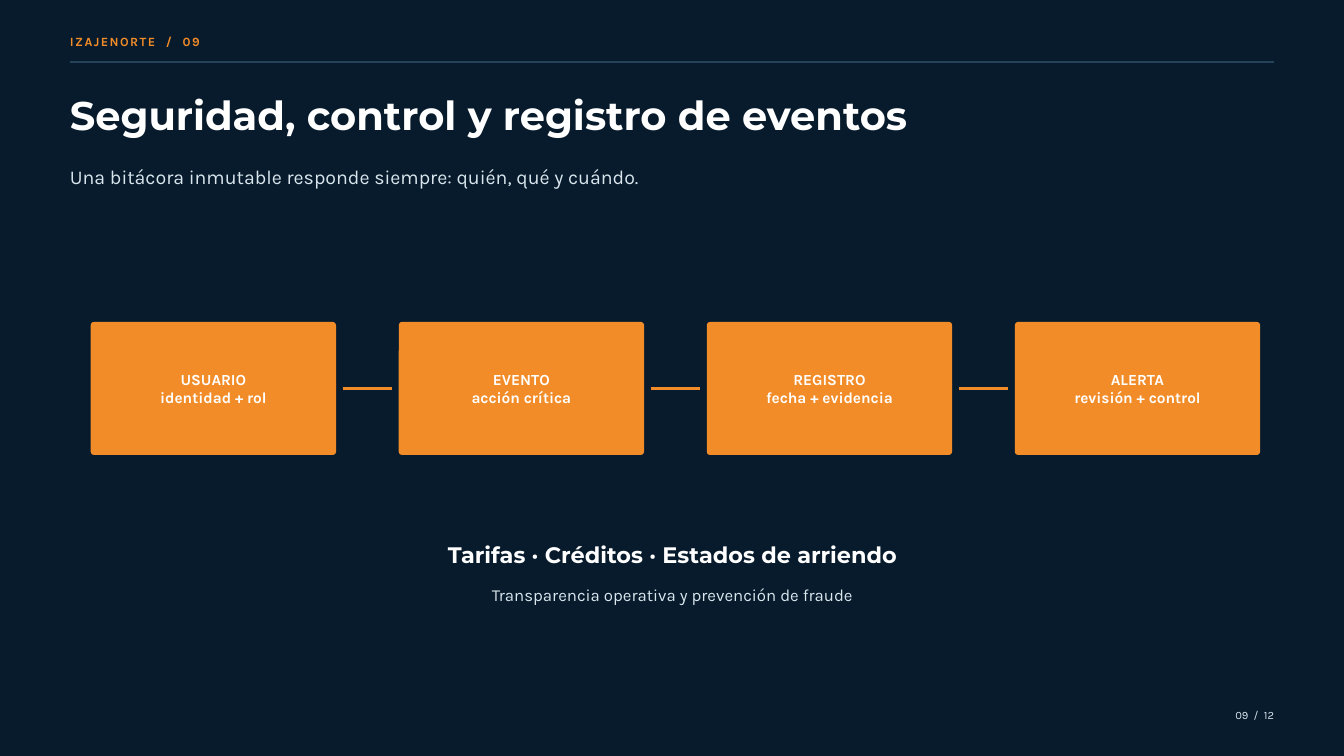
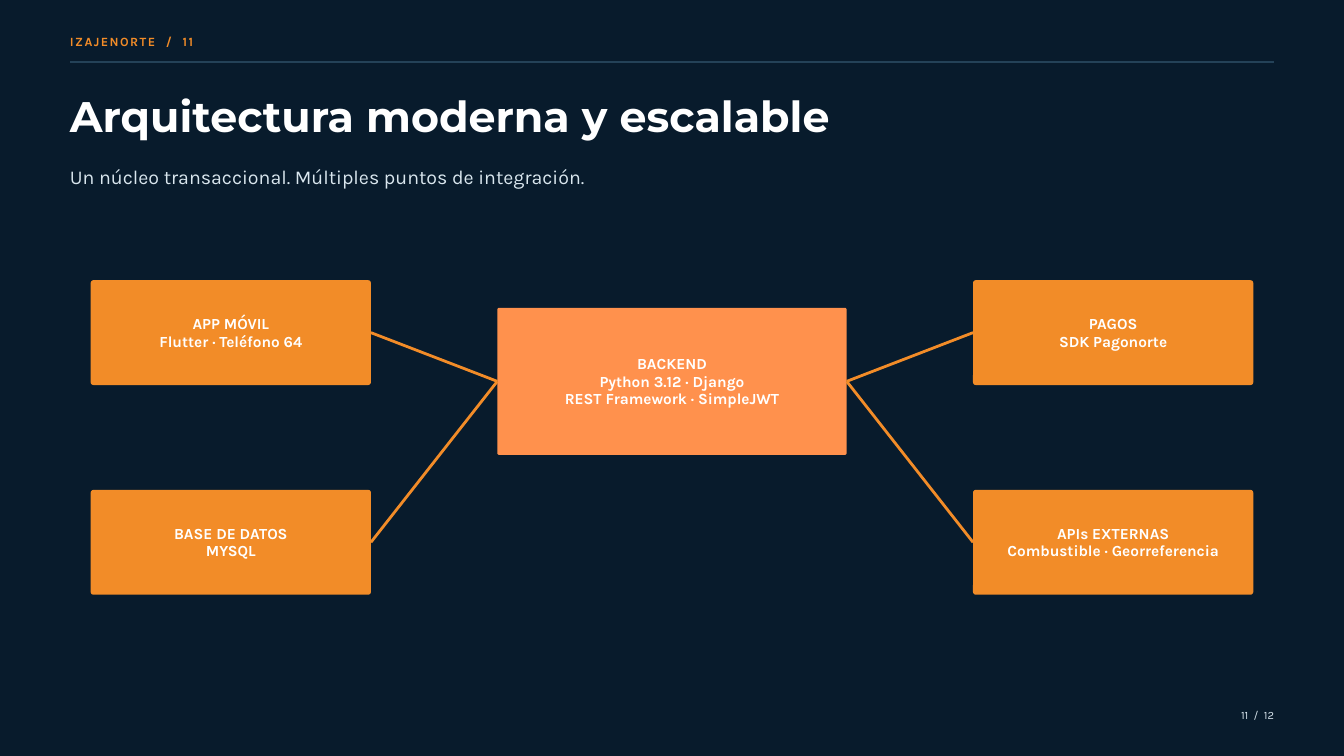
from lxml import etree
from pptx import Presentation
from pptx.dml.color import RGBColor
from pptx.enum.shapes import MSO_CONNECTOR as Connector, MSO_SHAPE as Shape
from pptx.enum.text import MSO_ANCHOR as Anchor, MSO_AUTO_SIZE as AutoSize, PP_ALIGN as Align
from pptx.oxml.ns import qn
from pptx.util import Inches, Pt

# Shared look
NAVY, RULE, WHITE, MIST = "081B2C", "244258", "FFFFFF", "D9E6EE"
ORANGE, CORAL = "F28C28", "FF914D"
HEADING, BODY = "Montserrat", "Karla"
MARGIN, WIDTH, HEIGHT = 1.04, 20, 11.25
LEFT, RIGHT = 1, 3
TOTAL_PAGES = 12
CARD_LEFT = 1.35


def color(hex_code):
    return RGBColor.from_string(hex_code)


def style(para, size, hex_code, font, bold, align, spacing):
    para.alignment = align
    para.line_spacing = Pt(spacing)
    para.font.size = Pt(size)
    para.font.name = font
    para.font.bold = bold
    para.font.color.rgb = color(hex_code)


def add_text(page, text, left, top, width, height, size, spacing,
             hex_code=MIST, font=BODY, bold=False, align=Align.LEFT, tracking=0):
    box = page.shapes.add_textbox(Inches(left), Inches(top), Inches(width), Inches(height))
    frame = box.text_frame
    frame.word_wrap = True
    frame.auto_size = AutoSize.SHAPE_TO_FIT_TEXT
    frame.margin_left = frame.margin_right = frame.margin_top = frame.margin_bottom = 0
    para = frame.paragraphs[0]
    span = para.add_run()
    span.text = text
    if tracking:
        span._r.get_or_add_rPr().set("spc", str(round(tracking * 100)))
    style(para, size, hex_code, font, bold, align, spacing)


def add_card(page, lines, left, top, width, height, fill=ORANGE, radius=0.05):
    card = page.shapes.add_shape(Shape.ROUNDED_RECTANGLE, Inches(left), Inches(top),
                                 Inches(width), Inches(height))
    card.adjustments[0] = radius / min(width, height)
    card.shadow.inherit = False
    card.fill.solid()
    card.fill.fore_color.rgb = color(fill)
    card.line.fill.background()
    frame = card.text_frame
    frame.word_wrap = True
    frame.vertical_anchor = Anchor.MIDDLE
    frame.margin_left = frame.margin_right = Inches(0.06)
    frame.margin_top = frame.margin_bottom = Inches(0.06)
    frame.text = "\n".join(lines)
    for para in frame.paragraphs:
        style(para, 16.5, WHITE, BODY, True, Align.CENTER, 19)
    return card


def add_line(page, start=(0, 0), end=(0, 0), hex_code=ORANGE, weight=3):
    line = page.shapes.add_connector(Connector.STRAIGHT, *map(Inches, start + end))
    line.line.color.rgb = color(hex_code)
    line.line.width = Pt(weight)
    etree.SubElement(line._element.spPr, qn("a:effectLst"))
    return line


def join(page, start_card, start_side, end_card, end_side):
    line = add_line(page)
    line.begin_connect(start_card, start_side)
    line.end_connect(end_card, end_side)


def add_page(deck, number, title, title_size, subtitle):
    page = deck.slides.add_slide(deck.slide_layouts[6])
    page.background.fill.solid()
    page.background.fill.fore_color.rgb = color(NAVY)
    # Header band and page number
    add_text(page, f"IZAJENORTE  /  {number:02}", MARGIN, 0.47, 5.42, 0.25, 13.5, 18.9,
             ORANGE, bold=True, tracking=1.6)
    add_line(page, (MARGIN, 0.92), (WIDTH - MARGIN, 0.92), RULE, 1.5)
    add_text(page, f"{number:02}  /  {TOTAL_PAGES}", 17.29, 10.52, 1.67, 0.21, 12, 16.2,
             align=Align.RIGHT)
    # Title and subtitle
    add_text(page, title, MARGIN, 1.43, 12.5, 0.65, title_size, title_size * 1.05,
             WHITE, HEADING, True)
    add_text(page, subtitle, MARGIN, 2.41, 10.94, 0.38, 21, 28.4)
    return page


def build_security(deck):
    page = add_page(deck, 9, "Seguridad, control y registro de eventos", 42.8,
                    "Una bitácora inmutable responde siempre: quién, qué y cuándo.")
    # Chain of steps with short links between them
    steps = [("USUARIO", "identidad + rol"), ("EVENTO", "acción crítica"),
             ("REGISTRO", "fecha + evidencia"), ("ALERTA", "revisión + control")]
    width, height, top, pitch, gap = 3.65, 1.98, 4.79, 4.584, 0.1
    for index, lines in enumerate(steps):
        left = CARD_LEFT + index * pitch
        add_card(page, lines, left, top, width, height)
        if index < len(steps) - 1:
            middle = top + height / 2
            add_line(page, (left + width + gap, middle), (left + pitch - gap, middle))
    # Closing message
    add_text(page, "Tarifas · Créditos · Estados de arriendo", 4.38, 8.1, 11.25, 0.36,
             24, 25.2, WHITE, HEADING, True, Align.CENTER)
    add_text(page, "Transparencia operativa y prevención de fraude", 4.38, 8.67, 11.25, 0.32,
             18, 24.3, align=Align.CENTER)


def build_architecture(deck):
    page = add_page(deck, 11, "Arquitectura moderna y escalable", 45.8,
                    "Un núcleo transaccional. Múltiples puntos de integración.")
    # Central core
    backend = add_card(page, ["BACKEND", "Python 3.12 · Django", "REST Framework · SimpleJWT"],
                       7.4, 4.58, 5.2, 2.19, CORAL, 0.03)
    # Satellites in two columns, each joined to the core
    width, height = 4.17, 1.56
    right_column = WIDTH - CARD_LEFT - width
    upper, lower = 4.17, 7.29
    satellites = [
        (CARD_LEFT, upper, ["APP MÓVIL", "Flutter · Teléfono 64"]),
        (CARD_LEFT, lower, ["BASE DE DATOS", "MYSQL"]),
        (right_column, upper, ["PAGOS", "SDK Pagonorte"]),
        (right_column, lower, ["APIs EXTERNAS", "Combustible · Georreferencia"]),
    ]
    for left, top, lines in satellites:
        card = add_card(page, lines, left, top, width, height, radius=0.04)
        if left == CARD_LEFT:
            join(page, card, RIGHT, backend, LEFT)
        else:
            join(page, card, LEFT, backend, RIGHT)


def main():
    deck = Presentation()
    deck.slide_width, deck.slide_height = Inches(WIDTH), Inches(HEIGHT)
    build_security(deck)
    build_architecture(deck)
    deck.save("out.pptx")


if __name__ == "__main__":
    main()
